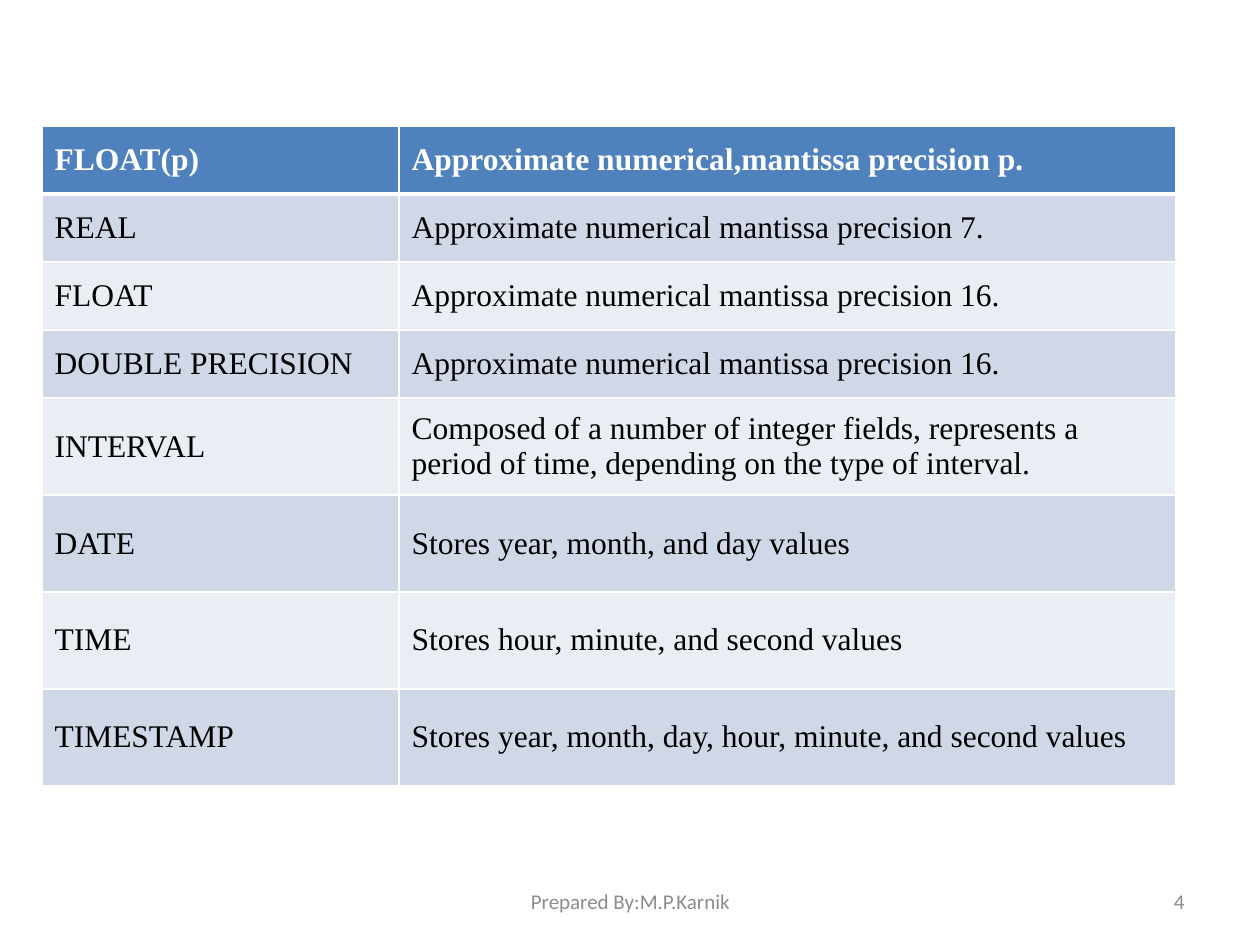
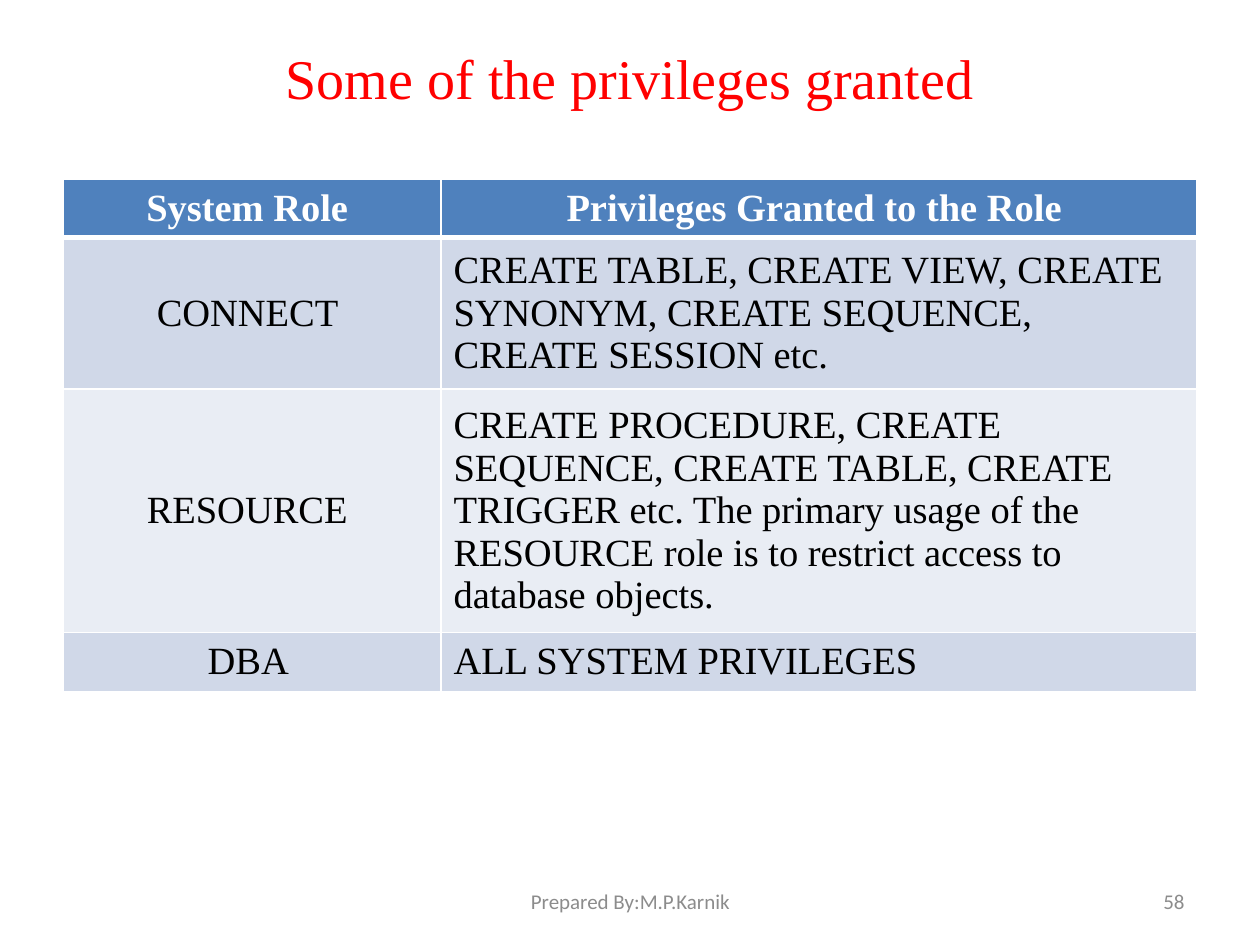
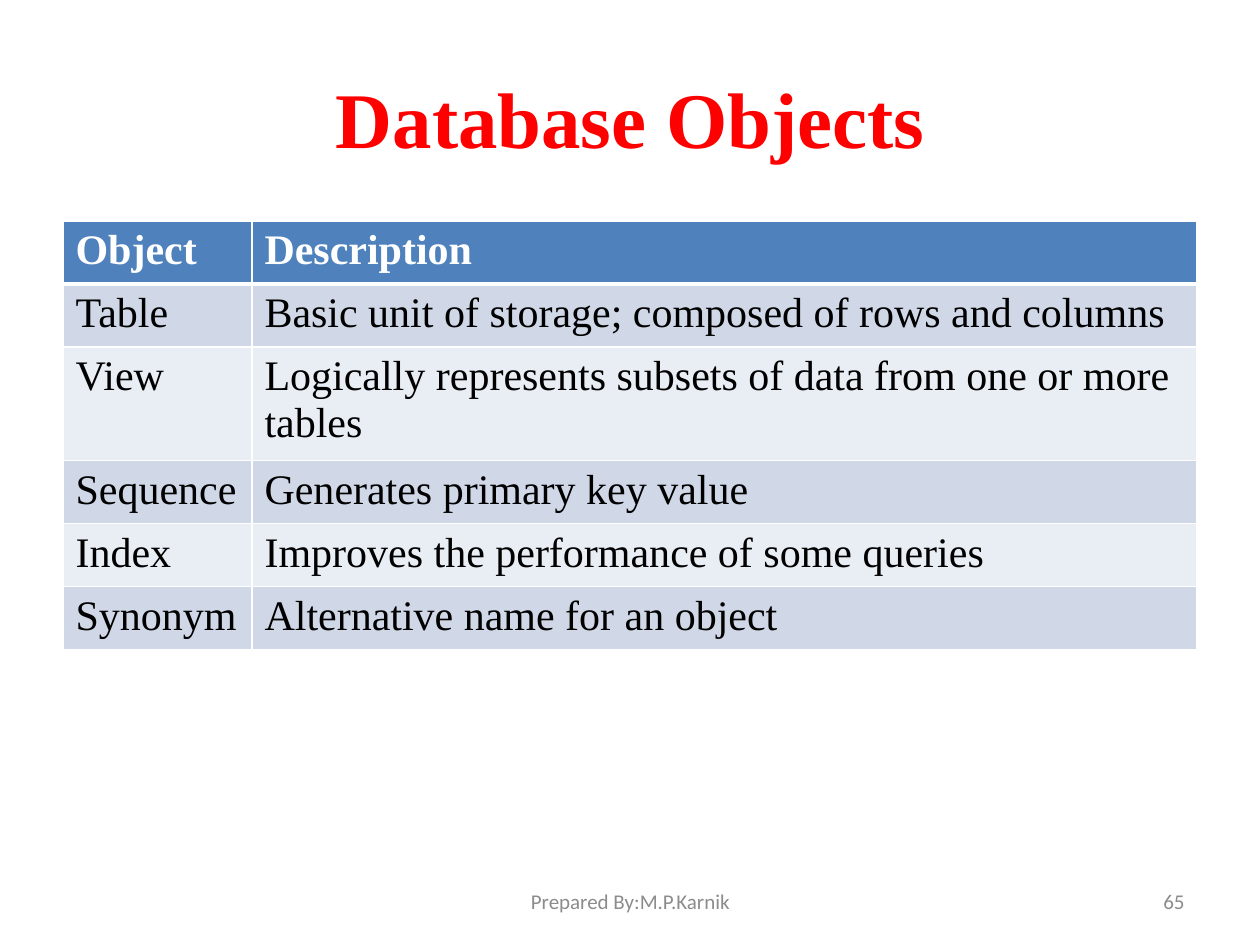
from pptx import Presentation
from pptx import util as u
from pptx.dml.color import RGBColor
from pptx.enum import text
from lxml import etree

# Shared look
SCALE = 914400 // 126  # EMU per pixel
SERIF, SANS = "Times New Roman", "Calibri"
WHITE, BLACK, RED, GREY = "FFFFFF", "000000", "FF0000", "8C8C8C"
HEADER_FILL = "4F81BD"
BAND_FILLS = ("D0D8E8", "E9EDF4")
LEFT, CENTER, RIGHT = (text.PP_ALIGN.LEFT, text.PP_ALIGN.CENTER,
                       text.PP_ALIGN.RIGHT)
TOP, MIDDLE = text.MSO_ANCHOR.TOP, text.MSO_ANCHOR.MIDDLE
FOOTER = "Prepared By:M.P.Karnik"
FOOTER_BOX = (431, 876, 399, 50)
NUMBER_BOX = (903, 876, 294, 50)
NS = "http://schemas.openxmlformats.org/drawingml/2006/main"


def px(length):
    return u.Emu(length * SCALE)


def color(value):
    return RGBColor.from_string(value)


def write(frame, words, size, hue, font=SERIF, bold=False, align=LEFT):
    frame.text = words
    paragraph = frame.paragraphs[0]
    paragraph.alignment = align
    for run in paragraph.runs:
        run.font.name = font
        run.font.size = u.Pt(size)
        run.font.bold = bold
        run.font.color.rgb = color(hue)


def label(slide, box, words, size, hue, **style):
    frame = slide.shapes.add_textbox(*map(px, box)).text_frame
    frame.word_wrap = True
    frame.vertical_anchor = MIDDLE
    write(frame, words, size, hue, **style)


def border(cell, side, points):
    line = etree.SubElement(cell._tc.get_or_add_tcPr(), f"{{{NS}}}ln{side}",
                            w=str(u.Pt(points)))
    fill = etree.SubElement(line, f"{{{NS}}}solidFill")
    etree.SubElement(fill, f"{{{NS}}}srgbClr", val=WHITE)


def banded_table(slide, box, columns, heights, rows, size, anchor=MIDDLE,
                 centered=False):
    """White-ruled table: blue header row, then alternating bands."""
    frame = slide.shapes.add_table(len(rows), len(columns), *map(px, box))
    table = frame.table
    for column, width in zip(table.columns, columns):
        column.width = px(width)
    for r, (row, height) in enumerate(zip(rows, heights)):
        table.rows[r].height = px(height)
        header = r == 0
        for c, words in enumerate(row):
            cell = table.cell(r, c)
            # A thick rule separates the header from the body
            rules = {"L": 1, "R": 1, "T": 3 if r == 1 else 1,
                     "B": 3 if header else 1}
            for side, points in rules.items():
                border(cell, side, points)
            cell.fill.solid()
            cell.fill.fore_color.rgb = color(
                HEADER_FILL if header else BAND_FILLS[(r - 1) % 2])
            cell.vertical_anchor = anchor
            middle = centered and (header or c == 0)
            write(cell.text_frame, words, size, WHITE if header else BLACK,
                  bold=header, align=CENTER if middle else LEFT)
    frame.height = px(box[3])


def add_slide(number):
    slide = deck.slides.add_slide(deck.slide_layouts[6])
    label(slide, NUMBER_BOX, str(number), 12, GREY, font=SANS, align=RIGHT)
    label(slide, FOOTER_BOX, FOOTER, 12, GREY, font=SANS, align=CENTER)
    return slide


def title(slide, height, words, size, bold=False):
    label(slide, (63, 38, 1134, height), words, size, RED, bold=bold,
          align=CENTER)


deck = Presentation()
deck.slide_width, deck.slide_height = px(1260), px(945)

# Data types
data_types = add_slide(4)
banded_table(data_types, (42, 126, 1134, 656), (357, 777),
             [68] * 4 + [97] * 4, [
    ("FLOAT(p)", "Approximate numerical,mantissa precision p."),
    ("REAL", "Approximate numerical mantissa precision 7."),
    ("FLOAT", "Approximate numerical mantissa precision 16."),
    ("DOUBLE PRECISION", "Approximate numerical mantissa precision 16."),
    ("INTERVAL", "Composed of a number of integer fields, represents a "
     "period of time, depending on the type of interval."),
    ("DATE", "Stores year, month, and day values"),
    ("TIME", "Stores hour, minute, and second values"),
    ("TIMESTAMP", "Stores year, month, day, hour, minute, and second values"),
], 18)

# Privileges by system role
privileges = add_slide(58)
title(privileges, 78, "Some of the privileges granted", 32)
banded_table(privileges, (63, 179, 1134, 513), (378, 756),
             (38, 146, 190, 59), [
    ("System Role ", "Privileges Granted to the Role "),
    ("CONNECT ", "CREATE TABLE, CREATE VIEW, CREATE SYNONYM, "
     "CREATE SEQUENCE, CREATE SESSION etc."),
    ("RESOURCE ", "CREATE PROCEDURE, CREATE SEQUENCE, CREATE TABLE, "
     "CREATE TRIGGER etc. The primary usage of the RESOURCE role is to "
     "restrict access to database objects. "),
    ("DBA ", "ALL SYSTEM PRIVILEGES"),
], 22, centered=True)

# Database objects
objects = add_slide(65)
title(objects, 158, "Database Objects", 45, bold=True)
banded_table(objects, (63, 221, 1134, 428), (189, 945), [52] * 6, [
    ("Object", "Description"),
    ("Table", "Basic unit of storage; composed of rows and columns"),
    ("View", "Logically represents subsets of data from one or more tables"),
    ("Sequence", "Generates primary key value"),
    ("Index", "Improves the performance of some queries"),
    ("Synonym", "Alternative name for an object"),
], 24, anchor=TOP)

deck.save("out.pptx")
